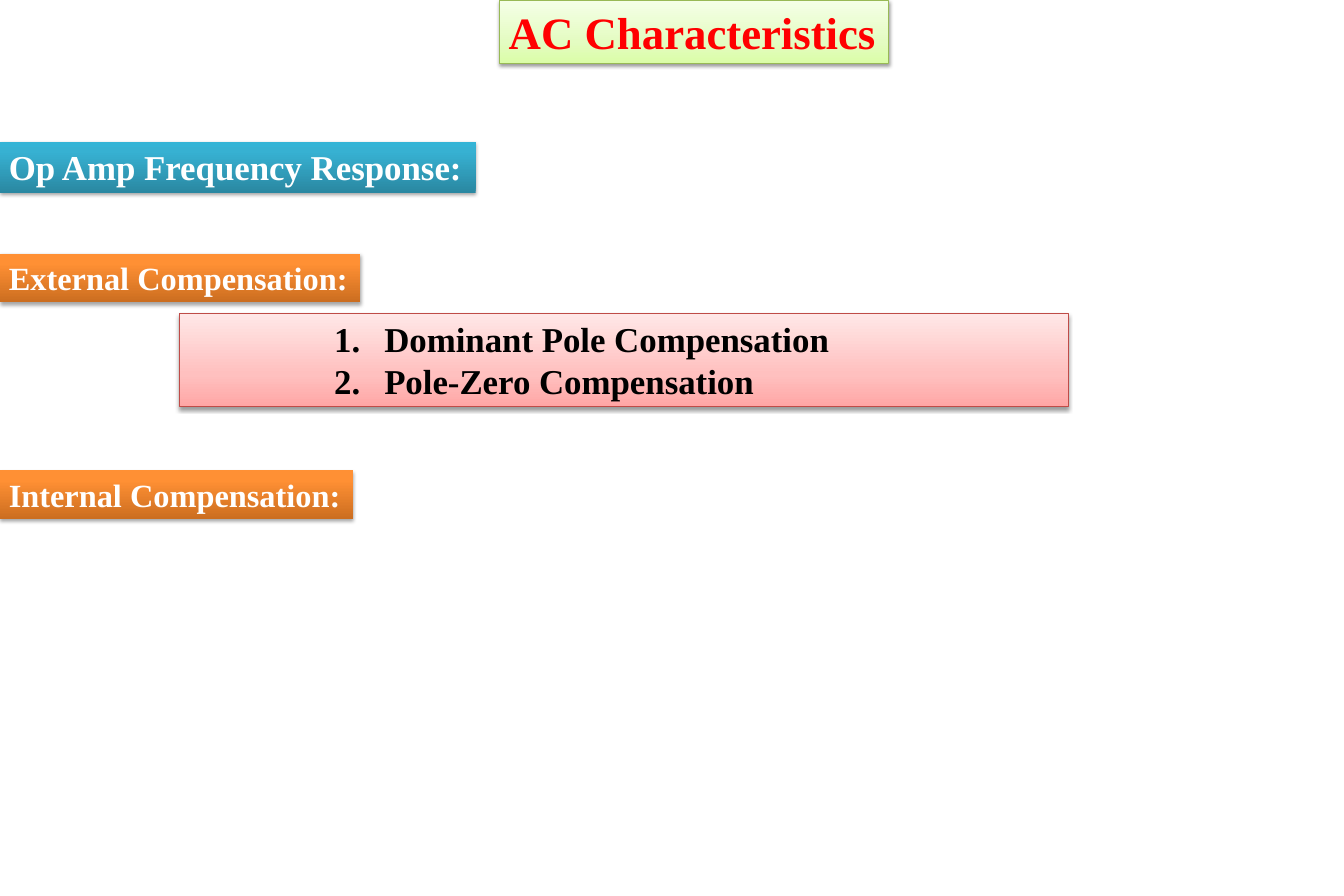
import dataclasses

import pptx
import pptx.dml.color
import pptx.enum.text
import pptx.oxml
import pptx.oxml.ns
import pptx.presentation
import pptx.shapes.autoshape
import pptx.slide
import pptx.util

# Grid: 150 columns by 100 rows, a tenth of an inch each
COLUMNS, ROWS = 150, 100
CELL = pptx.util.Inches(0.1)


@dataclasses.dataclass(frozen=True)
class Look:
    """A gradient from bottom to top, with its outline and shadow."""
    stops: tuple[tuple[int, str], ...]
    text: str
    outline: str | None
    shadow_opacity: int
    shadow_distance: float


@dataclasses.dataclass(frozen=True)
class Theme:
    font: str = "Times New Roman"
    title_size: int = 36
    topic_size: int = 28
    section_size: int = 26
    shadow: str = "000000"
    shadow_blur: float = 3.15
    green: Look = Look(((0, "DAFDA7"), (35, "E4FCC2"), (100, "F5FFE7")),
                       "FF0000", "98B955", 38, 1.57)
    pink: Look = Look(((0, "FFA6A5"), (35, "FFC0BF"), (100, "FFE7E7")),
                      "000000", "BF4C48", 38, 1.57)
    orange: Look = Look(((0, "CC6E20"), (80, "FF9034"), (100, "FF9136")),
                        "FFFFFF", None, 35, 1.81)
    blue: Look = Look(((0, "2A88A2"), (80, "37B1D2"), (100, "34B4D6")),
                      "FFFFFF", None, 35, 1.81)


THEME = Theme()


@dataclasses.dataclass(frozen=True)
class Panel:
    lines: tuple[str, ...]
    column: float
    row: float
    columns: float
    rows: float
    look: Look
    size: int
    numbered: bool = False


PANELS = (
    Panel(("AC Characteristics",), 55.8, 0, 43.4, 7.1, THEME.green, THEME.title_size),
    Panel(("Dominant Pole Compensation", "Pole-Zero Compensation"),
          20, 35, 99.2, 10.4, THEME.pink, THEME.topic_size, numbered=True),
    Panel(("External Compensation:",), 0, 28.3, 40.2, 5.4, THEME.orange, THEME.section_size),
    Panel(("Internal Compensation:",), 0, 52.5, 39.4, 5.4, THEME.orange, THEME.section_size),
    Panel(("Op Amp Frequency Response:",), 0, 15.8, 53.1, 5.7, THEME.blue, THEME.topic_size),
)


def cells(count: float) -> int:
    return round(count * CELL)


def add_xml(parent, tag: str, **attributes: object):
    """Append a DrawingML element and return it."""
    child = pptx.oxml.parse_xml(f"<a:{tag} {pptx.oxml.ns.nsdecls('a')}/>")
    for key, value in attributes.items():
        child.set(key, str(value))
    parent.append(child)
    return child


def paint(box: pptx.shapes.autoshape.Shape, look: Look) -> None:
    """Give a box its gradient, outline and shadow."""
    box.fill.gradient()
    box.fill.gradient_angle = 90
    properties = box._element.spPr
    stop_list = properties.find(".//" + pptx.oxml.ns.qn("a:gsLst"))
    for old_stop in list(stop_list):
        stop_list.remove(old_stop)
    for percent, color in look.stops:
        add_xml(add_xml(stop_list, "gs", pos=percent * 1000), "srgbClr", val=color)

    if look.outline:
        box.line.color.rgb = pptx.dml.color.RGBColor.from_string(look.outline)
        box.line.width = pptx.util.Pt(0.75)
    else:
        box.line.fill.background()

    box.shadow.inherit = False
    effects = properties.find(pptx.oxml.ns.qn("a:effectLst"))
    shadow = add_xml(effects, "outerShdw", blurRad=pptx.util.Pt(THEME.shadow_blur),
                     dist=pptx.util.Pt(look.shadow_distance), dir=90 * 60000, rotWithShape=0)
    shade = add_xml(shadow, "srgbClr", val=THEME.shadow)
    add_xml(shade, "alpha", val=look.shadow_opacity * 1000)


def write(frame: pptx.text.text.TextFrame, lines: tuple[str, ...], *, size: int,
          color: str, numbered: bool = False) -> None:
    """Write bold lines, as a numbered list if asked."""
    frame.word_wrap = numbered
    frame.auto_size = pptx.enum.text.MSO_AUTO_SIZE.SHAPE_TO_FIT_TEXT
    for index, line in enumerate(lines):
        paragraph = frame.add_paragraph() if index else frame.paragraphs[0]
        if numbered:
            paragraph.alignment = pptx.enum.text.PP_ALIGN.JUSTIFY
            settings = paragraph._p.get_or_add_pPr()
            settings.set("marL", str(pptx.util.Inches(2.19)))
            settings.set("indent", str(pptx.util.Inches(-0.56)))
            add_xml(settings, "buFont", typeface="+mj-lt")
            add_xml(settings, "buAutoNum", type="arabicPeriod")
        run = paragraph.add_run()
        run.text = line
        run.font.name = THEME.font
        run.font.size = pptx.util.Pt(size)
        run.font.bold = True
        run.font.color.rgb = pptx.dml.color.RGBColor.from_string(color)


def draw_panel(slide: pptx.slide.Slide, panel: Panel) -> None:
    box = slide.shapes.add_textbox(cells(panel.column), cells(panel.row),
                                   cells(panel.columns), cells(panel.rows))
    paint(box, panel.look)
    write(box.text_frame, panel.lines, size=panel.size, color=panel.look.text,
          numbered=panel.numbered)


def main() -> None:
    deck = pptx.Presentation()
    deck.slide_width, deck.slide_height = cells(COLUMNS), cells(ROWS)
    slide = deck.slides.add_slide(deck.slide_layouts[6])
    for panel in PANELS:
        draw_panel(slide, panel)
    deck.save("out.pptx")


if __name__ == "__main__":
    main()
